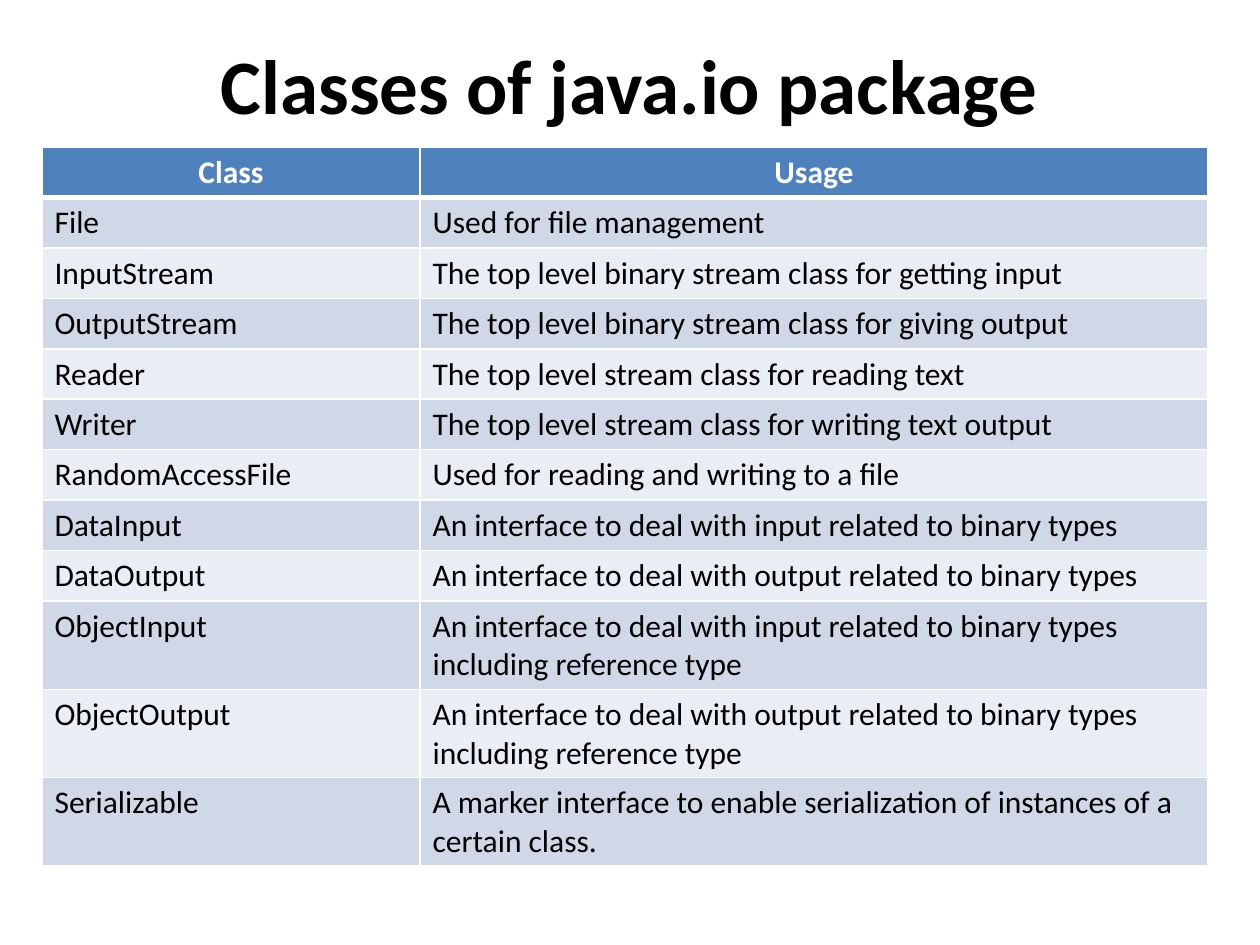
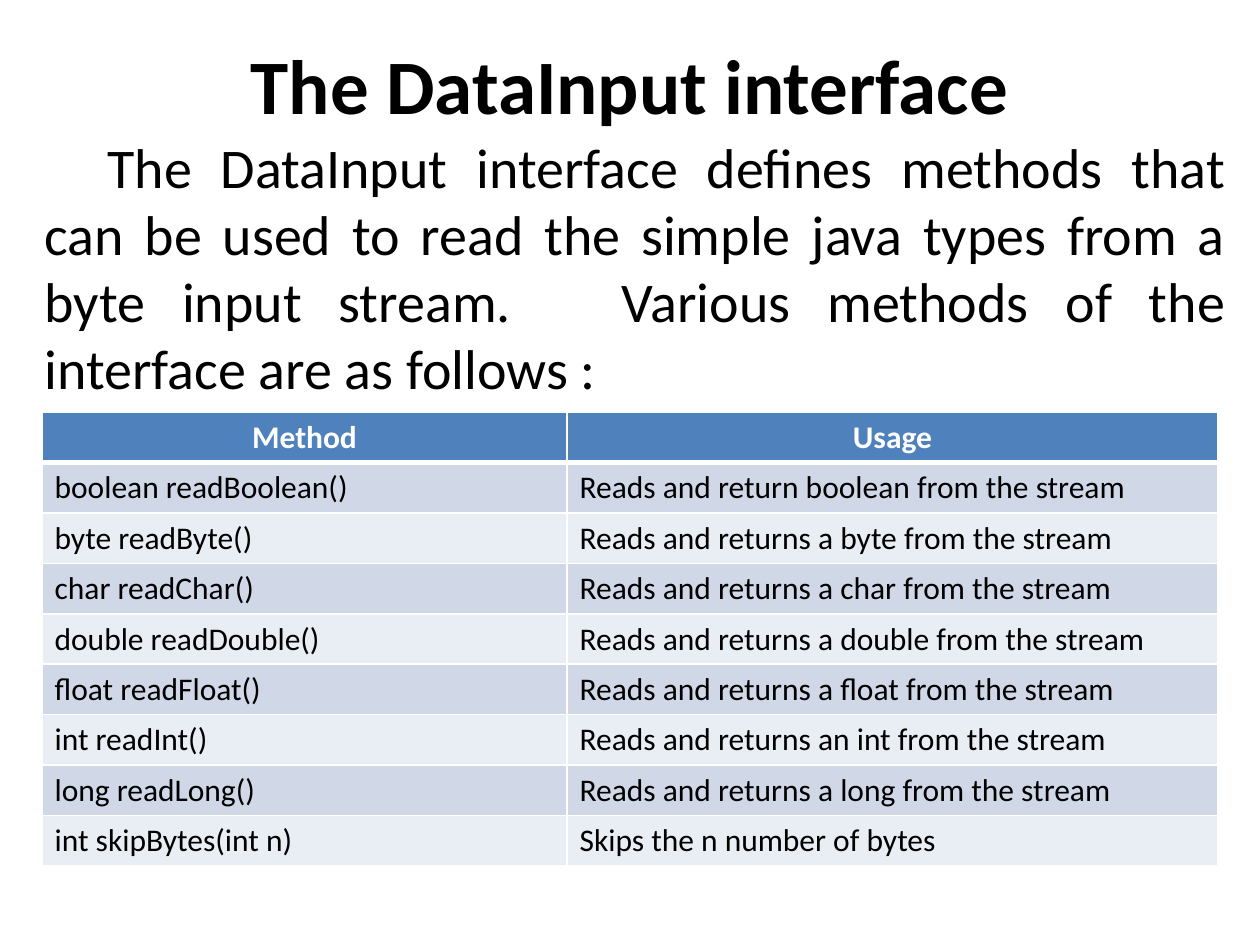
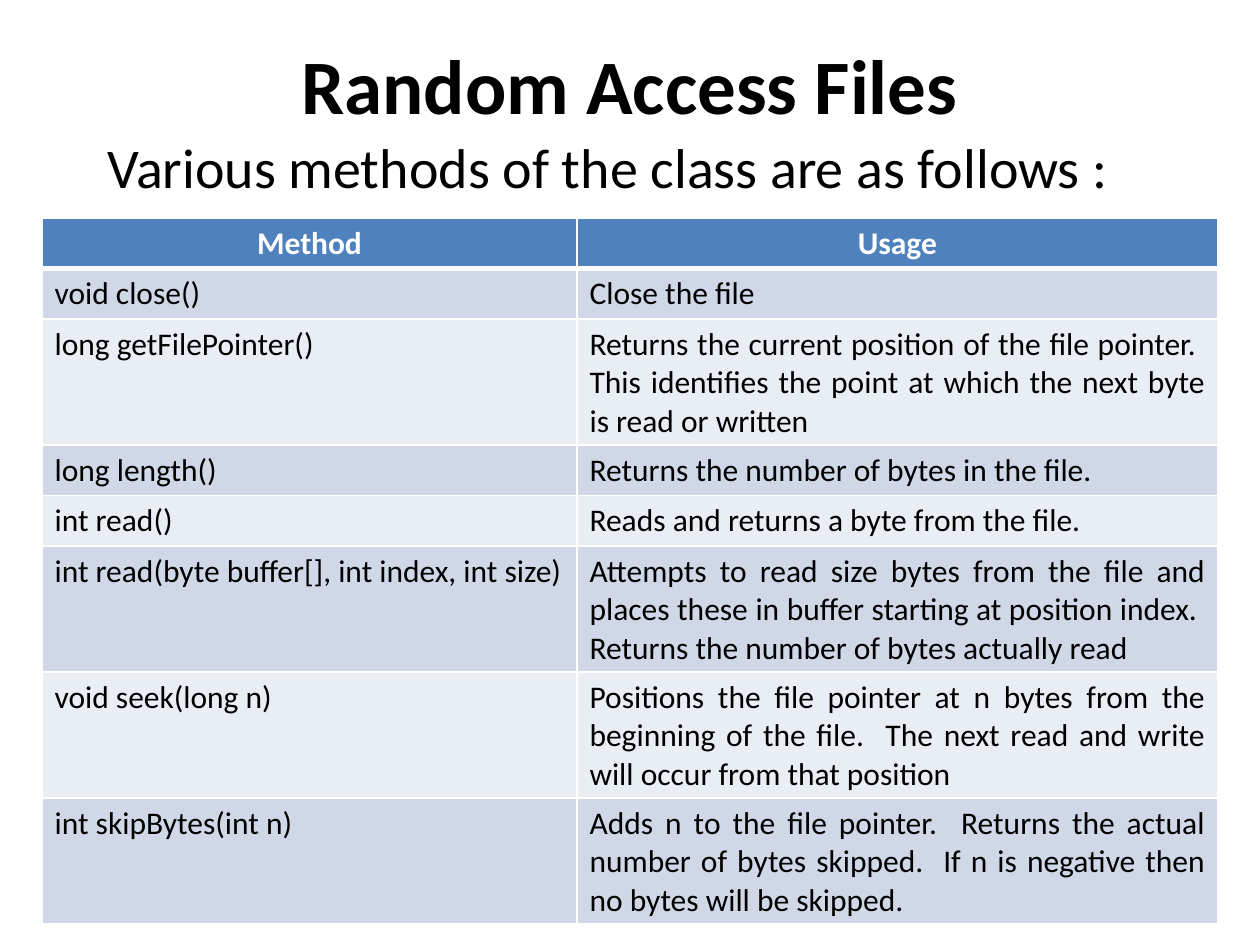
from typing import NamedTuple

from lxml.etree import SubElement
from pptx import Presentation
from pptx.dml.color import RGBColor
from pptx.enum.text import MSO_ANCHOR as Anchor, MSO_AUTO_SIZE as AutoSize, PP_ALIGN as Align
from pptx.oxml.ns import qn
from pptx.util import Emu, Pt

PX_PER_INCH = 126
FONT = "Calibri"
COLORS = {
    "text": "000000",
    "white": "FFFFFF",
    "header": "4F81BD",
    "band_dark": "D0D8E8",
    "band_light": "E9EDF4",
}
THIN, THICK = Pt(1), Pt(3)


class Box(NamedTuple):
    left: int
    top: int
    width: int
    height: int


class Grid(NamedTuple):
    top: int
    height: int
    row_height: int
    columns: tuple[int, int]
    usage_align: Align
    rows: list[tuple[str, str]]


class Page(NamedTuple):
    title: str
    intro: str
    intro_height: int
    grid: Grid


TITLE_BOX = Box(0, 21, 1260, 126)
GRID_LEFT = 42

PAGES = [
    Page("Classes of java.io package", "", 0, Grid(147, 718, 43, (378, 788), Align.LEFT, [
        ("Class", "Usage"),
        ("File", "Used for file management"),
        ("InputStream", "The top level binary stream class for getting input"),
        ("OutputStream", "The top level binary stream class for giving output"),
        ("Reader", "The top level stream class for reading text"),
        ("Writer", "The top level stream class for writing text output"),
        ("RandomAccessFile", "Used for reading and writing to a file"),
        ("DataInput", "An interface to deal with input related to binary types"),
        ("DataOutput", "An interface to deal with output related to binary types"),
        ("ObjectInput", "An interface to deal with input related to binary types "
                        "including reference type"),
        ("ObjectOutput", "An interface to deal with output related to binary types "
                         "including reference type"),
        ("Serializable", "A marker interface to enable serialization of instances "
                         "of a certain class."),
    ])),
    Page("The DataInput interface",
         "\tThe DataInput interface defines methods that can be used to read the simple java "
         "types from a byte input stream.   Various methods of the interface are as follows :",
         285, Grid(412, 454, 44, (525, 651), Align.JUSTIFY, [
             ("Method", "Usage"),
             ("boolean readBoolean()", "Reads and return boolean from the stream"),
             ("byte readByte()", "Reads and returns a byte from the stream"),
             ("char readChar()", "Reads and returns a char from the stream"),
             ("double readDouble()", "Reads and returns a double from the stream"),
             ("float readFloat()", "Reads and returns a float from the stream"),
             ("int readInt()", "Reads and returns an int from the stream"),
             ("long readLong()", "Reads and returns a long from the stream"),
             ("int skipBytes(int n)", "Skips the n number of bytes "),
         ])),
    Page("Random Access Files", "\tVarious methods of the class are as follows :",
         81, Grid(218, 706, 44, (535, 641), Align.JUSTIFY, [
             ("Method", "Usage"),
             ("void close()", "Close the file"),
             ("long getFilePointer()",
              "Returns the current position of the file pointer.  This identifies the point "
              "at which the next byte is read or written"),
             ("long length()", "Returns the number of bytes in the file."),
             ("int read()", "Reads and returns a byte from the file."),
             ("int read(byte buffer[], int index, int size)",
              "Attempts to read size bytes from the file and places these in buffer starting "
              "at position index.  Returns the number of bytes actually read"),
             ("void seek(long n)",
              "Positions the file pointer at n bytes from the beginning of the file.  The next "
              "read and write will occur from that position"),
             ("int skipBytes(int n)",
              "Adds n to the file pointer.  Returns the actual number of bytes skipped.  If n "
              "is negative then no bytes will be skipped."),
         ])),
]


def px(n: int) -> Emu:
    return Emu(round(n * 914400 / PX_PER_INCH))


def rgb(name: str) -> RGBColor:
    return RGBColor.from_string(COLORS[name])


def write(tf, text: str, size: int, align: Align, bold: bool = False, color: str = "text") -> None:
    p = tf.paragraphs[0]
    p.text = text
    p.alignment = align
    p.font.name, p.font.size, p.font.bold = FONT, Pt(size), bold
    p.font.color.rgb = rgb(color)


def add_text(slide, box: Box, text: str, size: int, align: Align, bold: bool = False):
    tf = slide.shapes.add_textbox(*map(px, box)).text_frame
    tf.word_wrap = True
    write(tf, text, size, align, bold)
    return tf


def add_borders(cell, top: int, bottom: int) -> None:
    tc_pr = cell._tc.get_or_add_tcPr()
    for side, width in (("L", THIN), ("R", THIN), ("T", top), ("B", bottom)):
        ln = SubElement(tc_pr, qn(f"a:ln{side}"), w=str(int(width)))
        fill = SubElement(ln, qn("a:solidFill"))
        SubElement(fill, qn("a:srgbClr"), val=COLORS["white"])


def add_grid(slide, grid: Grid) -> None:
    box = Box(GRID_LEFT, grid.top, sum(grid.columns), grid.height)
    frame = slide.shapes.add_table(len(grid.rows), len(grid.columns), *map(px, box))
    table = frame.table
    for column, width in zip(table.columns, grid.columns):
        column.width = px(width)
    for i, row in enumerate(grid.rows):
        table.rows[i].height = px(grid.row_height)
        header = i == 0
        band = "header" if header else "band_dark" if i % 2 else "band_light"
        for j, text in enumerate(row):
            cell = table.cell(i, j)
            # The thick rule separates the header from the body
            add_borders(cell, THICK if i == 1 else THIN, THICK if header else THIN)
            cell.fill.solid()
            cell.fill.fore_color.rgb = rgb(band)
            align = Align.CENTER if header else (Align.LEFT, grid.usage_align)[j]
            write(cell.text_frame, text, 18, align, header, "white" if header else "text")
    # Row heights are minimums; the frame keeps its full height
    frame.height = px(grid.height)


def add_page(prs, page: Page) -> None:
    slide = prs.slides.add_slide(prs.slide_layouts[6])
    # Title
    tf = add_text(slide, TITLE_BOX, page.title, 44, Align.CENTER, bold=True)
    tf.vertical_anchor = Anchor.MIDDLE
    # Introduction
    if page.intro:
        box = Box(32, 126, 1207, page.intro_height)
        tf = add_text(slide, box, page.intro, 32, Align.JUSTIFY)
        tf.auto_size = AutoSize.SHAPE_TO_FIT_TEXT
    # Table
    add_grid(slide, page.grid)


def main() -> None:
    prs = Presentation()
    prs.slide_width, prs.slide_height = px(1260), px(945)
    for page in PAGES:
        add_page(prs, page)
    prs.save("out.pptx")


if __name__ == "__main__":
    main()
